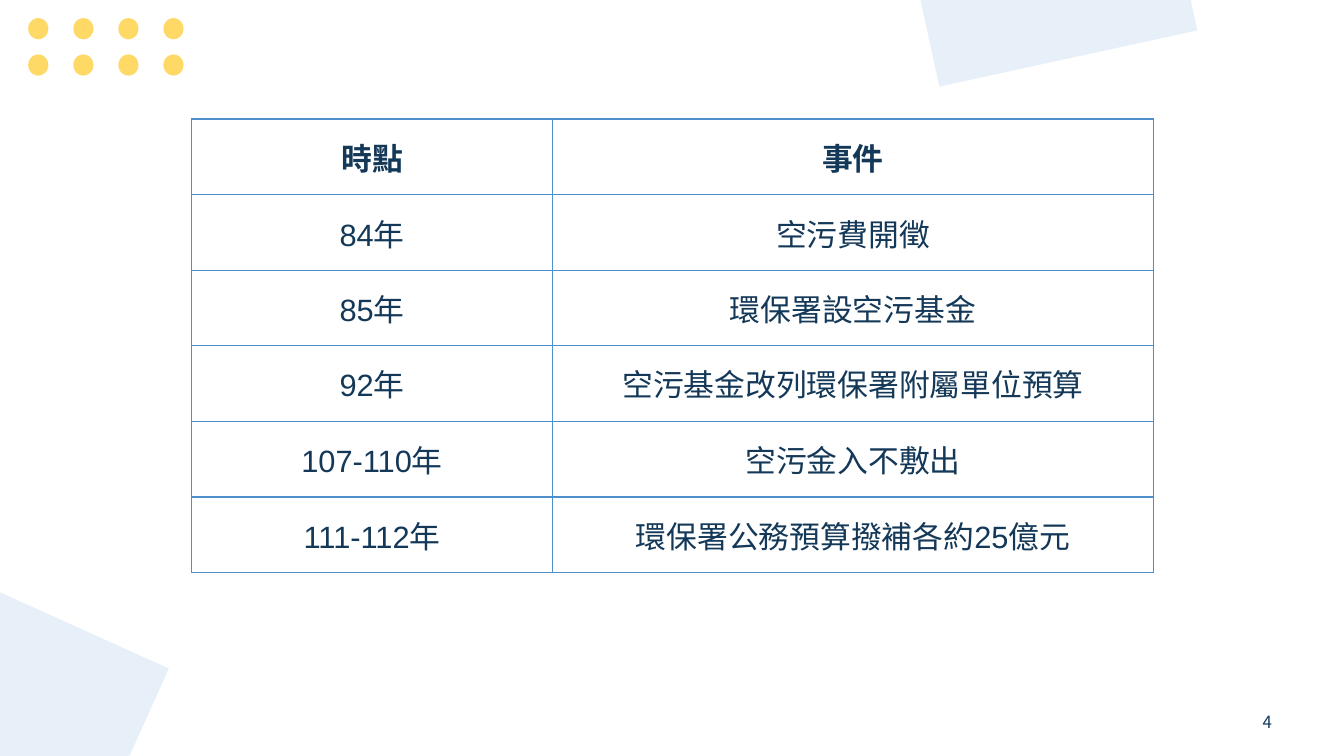
from itertools import product

from lxml import etree
from pptx import Presentation
from pptx.dml.color import RGBColor
from pptx.enum.shapes import MSO_SHAPE
from pptx.enum.text import MSO_ANCHOR, PP_ALIGN
from pptx.oxml.ns import qn
from pptx.util import Inches, Pt

CENTER = PP_ALIGN.CENTER
MIDDLE = MSO_ANCHOR.MIDDLE
OVAL = MSO_SHAPE.OVAL
RECTANGLE = MSO_SHAPE.RECTANGLE

SLIDE_WIDTH, SLIDE_HEIGHT = 13.33, 7.5

THEME = {
    "ink": "143858",
    "dot": "FFD966",
    "panel": "E7F0F8",
    "border": "4D8FCB",
    "border_width": 1,
    "table_size": 22,
    "number_size": 12,
    "latin": "Arial",
    "cjk": "Noto Sans CJK SC",
}

DOT_COLUMNS, DOT_ROWS = 4, 2
DOT_LEFT, DOT_TOP = 0.28, 0.18
DOT_STEP_X, DOT_STEP_Y = 0.447, 0.36
DOT_SIZE = (0.2, 0.21)

PANEL_SIZE = (2.62, 1.66)
PANELS = [(9.11, -1.06, 347.7), (-1.17, 6.02, 24.3)]

TABLE_LEFT, TABLE_TOP = 1.9, 1.18
COLUMN_WIDTHS = (3.58, 5.96)
ROW_HEIGHT = 0.75
TIGHT = {"margin_left": 0.01, "margin_right": 0.01,
         "margin_top": 0.01, "margin_bottom": 0}
ROOMY = {"margin_left": 0.11, "margin_right": 0.11,
         "margin_top": 0.06, "margin_bottom": 0.06}
TIMELINE = [
    ("時點", "事件", TIGHT),
    ("84年", "空污費開徵", TIGHT),
    ("85年", "環保署設空污基金", ROOMY),
    ("92年", "空污基金改列環保署附屬單位預算", ROOMY),
    ("107-110年", "空污金入不敷出", TIGHT),
    ("111-112年", "環保署公務預算撥補各約25億元", ROOMY),
]


def write_centered(frame, text, size, latin, bold=False):
    paragraph = frame.paragraphs[0]
    paragraph.alignment = CENTER
    run = paragraph.add_run()
    run.text = text
    formats = {"size": Pt(size), "name": latin, "bold": bold}
    for attribute, value in formats.items():
        setattr(run.font, attribute, value)
    run.font.color.rgb = RGBColor.from_string(THEME["ink"])
    east_asian = etree.SubElement(run.font._element, qn("a:ea"))
    east_asian.set("typeface", THEME["cjk"])


def add_decoration(slide, preset, position, size, color, rotation=0):
    shape = slide.shapes.add_shape(preset, *map(Inches, (*position, *size)))
    shape.shadow.inherit = False
    shape.fill.solid()
    shape.fill.fore_color.rgb = RGBColor.from_string(color)
    shape.line.fill.background()
    shape.rotation = rotation


def add_dot_grid(slide):
    for row, column in product(range(DOT_ROWS), range(DOT_COLUMNS)):
        position = (DOT_LEFT + column * DOT_STEP_X, DOT_TOP + row * DOT_STEP_Y)
        add_decoration(slide, OVAL, position, DOT_SIZE, THEME["dot"])


def add_page_number(slide, number):
    box = slide.shapes.add_textbox(*map(Inches, (11.07, 6.96, 3, 0.4)))
    frame = box.text_frame
    frame.word_wrap = True
    frame.vertical_anchor = MIDDLE
    write_centered(frame, number, THEME["number_size"], THEME["cjk"])


def set_borders(cell):
    """Draw all four cell edges; the schema wants them ahead of the fill."""
    properties = cell._tc.get_or_add_tcPr()
    for index, edge in enumerate(("a:lnL", "a:lnR", "a:lnT", "a:lnB")):
        line = etree.Element(qn(edge), w=str(Pt(THEME["border_width"])))
        fill = etree.SubElement(line, qn("a:solidFill"))
        etree.SubElement(fill, qn("a:srgbClr"), val=THEME["border"])
        properties.insert(index, line)


def add_timeline_table(slide):
    row_count = len(TIMELINE)
    extent = (TABLE_LEFT, TABLE_TOP, sum(COLUMN_WIDTHS), row_count * ROW_HEIGHT)
    table = slide.shapes.add_table(
        row_count, len(COLUMN_WIDTHS), *map(Inches, extent)).table
    table.horz_banding = False
    for column, width in zip(table.columns, COLUMN_WIDTHS):
        column.width = Inches(width)
    for row_index, (*texts, margins) in enumerate(TIMELINE):
        table.rows[row_index].height = Inches(ROW_HEIGHT)
        for cell, text in zip(table.rows[row_index].cells, texts):
            for attribute, value in margins.items():
                setattr(cell, attribute, Inches(value))
            cell.vertical_anchor = MIDDLE
            cell.fill.background()
            set_borders(cell)
            write_centered(cell.text_frame, text, THEME["table_size"],
                           THEME["latin"], bold=row_index == 0)


def main():
    presentation = Presentation()
    presentation.slide_width = Inches(SLIDE_WIDTH)
    presentation.slide_height = Inches(SLIDE_HEIGHT)
    slide = presentation.slides.add_slide(presentation.slide_layouts[6])
    add_page_number(slide, "4")
    add_dot_grid(slide)
    for left, top, rotation in PANELS:
        add_decoration(slide, RECTANGLE, (left, top), PANEL_SIZE,
                       THEME["panel"], rotation)
    add_timeline_table(slide)
    presentation.save("out.pptx")


if __name__ == "__main__":
    main()
